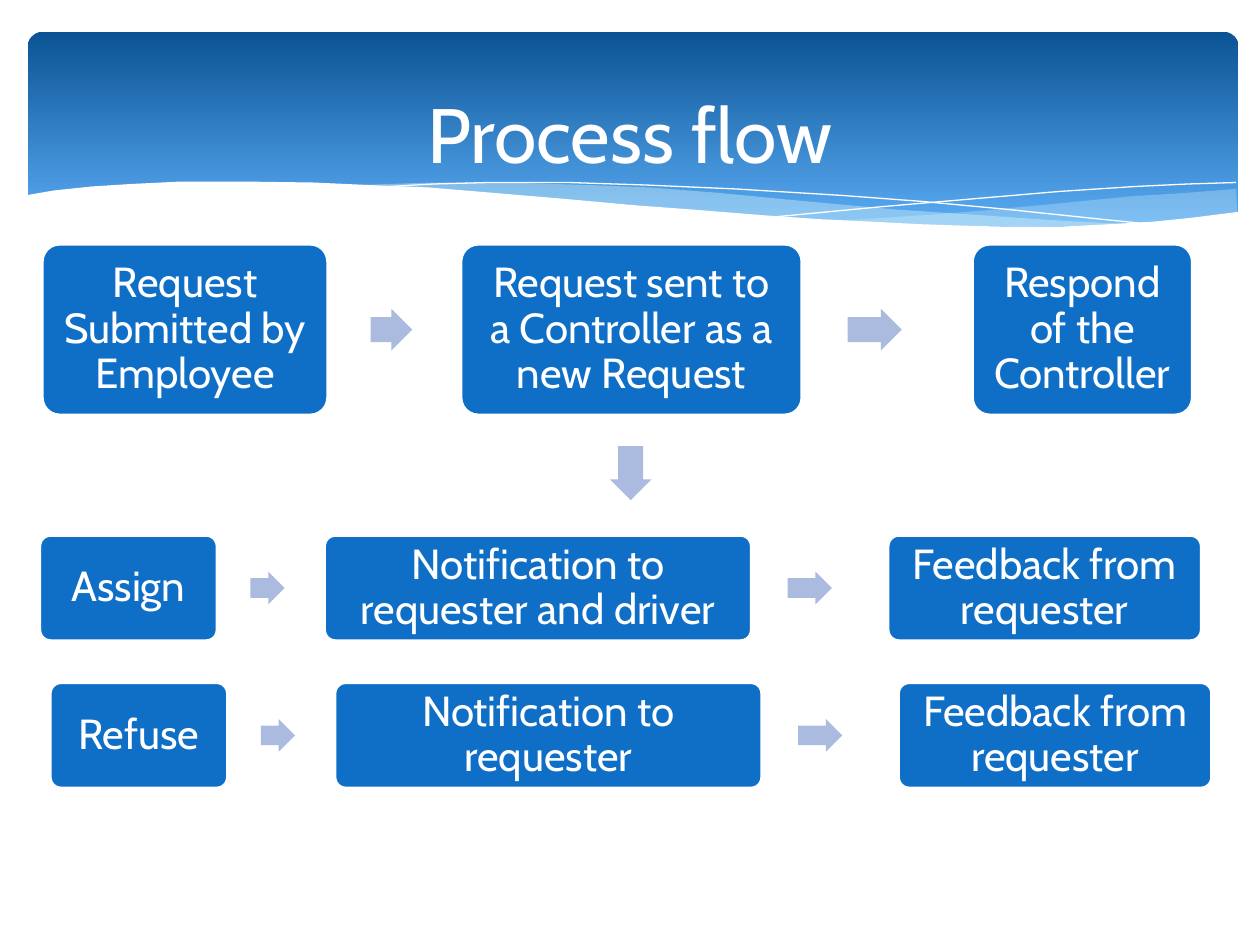
"""Builds the process flow slide: a wavy title banner above three rows of linked steps."""
from dataclasses import dataclass

from lxml.etree import SubElement
from pptx import Presentation
from pptx.dml.color import RGBColor
from pptx.enum.shapes import MSO_SHAPE as Preset
from pptx.enum.text import MSO_ANCHOR as Anchor, PP_ALIGN as Align
from pptx.oxml.ns import qn
from pptx.util import Cm, Pt


@dataclass(frozen=True)
class Theme:
    font: str = "Cabin"
    title_size: Pt = Pt(44)
    step_size: Pt = Pt(24)
    outline: Pt = Pt(1.25)
    white: RGBColor = RGBColor(0xFF, 0xFF, 0xFF)
    step: RGBColor = RGBColor(0x0F, 0x6F, 0xC6)
    arrow: RGBColor = RGBColor(0xAB, 0xBB, 0xDF)
    banner_top: RGBColor = RGBColor(0x0B, 0x53, 0x94)
    banner_bottom: RGBColor = RGBColor(0x59, 0xAA, 0xF2)
    veil: RGBColor = RGBColor(0xDB, 0xF5, 0xF9)


theme = Theme()


def write(target, text, size=theme.step_size, color=theme.white, spacing=None, inset=0.25):
    frame = target.text_frame
    frame.word_wrap = True
    frame.vertical_anchor = Anchor.MIDDLE
    frame.margin_left = frame.margin_right = Cm(inset)
    frame.margin_top = frame.margin_bottom = 0
    frame.text = text
    line = frame.paragraphs[0]
    line.alignment = Align.CENTER
    line.line_spacing = spacing
    line.font.name = theme.font
    line.font.size = size
    line.font.color.rgb = color


def place(preset, left, top, width, height, fill, adjustments):
    shape = slide.shapes.add_shape(preset, Cm(left), Cm(top), Cm(width), Cm(height))
    shape.shadow.inherit = False
    for index, value in enumerate(adjustments):
        shape.adjustments[index] = value
    shape.fill.solid()
    shape.fill.fore_color.rgb = fill
    shape.line.fill.background()
    return shape


presentation = Presentation()
presentation.slide_width, presentation.slide_height = Cm(25.4), Cm(19.05)
slide = presentation.slides.add_slide(presentation.slide_layouts[5])

banner = place(Preset.ROUNDED_RECTANGLE, 0.56, 0.64, 24.41, 4.29, theme.banner_top, [0.071])
banner.fill.gradient()
banner.fill.gradient_angle = 270
for stop, position, color in zip(
    banner.fill.gradient_stops, (0, 0.9), (theme.banner_top, theme.banner_bottom)
):
    stop.position = position
    stop.color.rgb = color

right_veil = [
    (2492, 381), (2390, 389), (2278, 396), (2126, 411), (1989, 424), (1862, 434),
    (1687, 445), (1798, 452), (1902, 455), (2052, 457), (2182, 455), (2294, 450),
    (2390, 442), (2494, 427),
]
long_veil = [
    (2281, 452), (2139, 445), (1979, 434), (1801, 422), (1605, 404), (1450, 389),
    (1311, 378), (1184, 373), (1016, 368), (874, 368), (726, 373), (869, 381),
    (1029, 394), (1250, 411), (1445, 429), (1618, 442), (1773, 450), (1910, 455),
    (2062, 457), (2192, 457),
]
falling_thread = [
    (785, 376), (874, 371), (986, 368), (1146, 368), (1300, 373), (1483, 381),
    (1697, 394), (1857, 406), (2029, 422), (2220, 442), (2319, 452),
]
rising_thread = [
    (1565, 437), (1775, 417), (1984, 399), (2136, 386), (2289, 376), (2395, 371),
    (2492, 368),
]
white_wave = [
    (51, 394), (109, 384), (185, 376), (264, 371), (366, 366), (488, 366), (632, 368),
    (742, 373), (864, 378), (996, 389), (1138, 401), (1283, 414), (1415, 424),
    (1539, 434), (1654, 442), (1758, 447), (1854, 452), (1943, 455), (2027, 457),
    (2139, 457), (2238, 452), (2324, 447), (2403, 439), (2497, 427), (2497, 508),
    (51, 508),
]
for points, fill, opacity in (
    (right_veil, theme.veil, 29),
    (long_veil, theme.veil, 40),
    (falling_thread, None, 100),
    (rising_thread, None, 100),
    (white_wave, theme.white, 100),
):
    outline = slide.shapes.build_freeform(*points[0], scale=Cm(0.01))
    outline.add_line_segments(points[1:], close=fill is not None)
    wave = outline.convert_to_shape()
    wave.shadow.inherit = False
    if fill is None:
        wave.fill.background()
        wave.line.color.rgb = theme.white
        wave.line.width = Pt(0)
        continue
    wave.fill.solid()
    wave.fill.fore_color.rgb = fill
    wave.line.fill.background()
    if opacity < 100:
        tint = wave.element.spPr.find(f"{qn('a:solidFill')}/{qn('a:srgbClr')}")
        SubElement(tint, qn("a:alpha"), val=str(opacity * 1000))

title = slide.shapes.title
title.left, title.top, title.width, title.height = Cm(1.27), Cm(0.94), Cm(22.86), Cm(3.48)
write(title, "Process flow", size=theme.title_size)
slide.shapes.element.append(title.element)

request_columns = [(0.86, 5.74), (9.3, 6.86), (19.61, 4.42)]
request_arrows = [(7.47, 0.84), (17.09, 1.09)]
answer_columns = [(0.81, 3.56), (6.55, 8.59), (17.91, 6.3)]
answer_arrows = [(5.05, 0.69), (15.88, 0.89)]
flows = [
    (4.93, 3.43, 0, request_columns, request_arrows, 0.84,
     ["Request Submitted by Employee", "Request sent to a Controller as a new Request",
      "Respond of the Controller"]),
    (10.8, 2.11, 0, answer_columns, answer_arrows, 0.66,
     ["Assign", "Notification to requester and driver", "Feedback from requester"]),
    (13.77, 2.11, 0.21, answer_columns, answer_arrows, 0.66,
     ["Refuse", "Notification to requester", "Feedback from requester"]),
]
for top, height, shift, columns, arrows, arrow_height, labels in flows:
    for (left, width), label in zip(columns, labels):
        step = place(Preset.ROUNDED_RECTANGLE, left + shift, top, width, height,
                     theme.step, [0.1])
        step.line.color.rgb = theme.white
        step.line.width = theme.outline
        write(step, label, spacing=0.9, inset=0.33)
    for left, width in arrows:
        place(Preset.RIGHT_ARROW, left + shift, top + (height - arrow_height) / 2,
              width, arrow_height, theme.arrow, [0.6, 0.5])

descent = place(Preset.RIGHT_ARROW, 12.17, 9.12, 1.09, 0.84, theme.arrow, [0.6, 0.5])
descent.rotation = 90

presentation.save("out.pptx")
